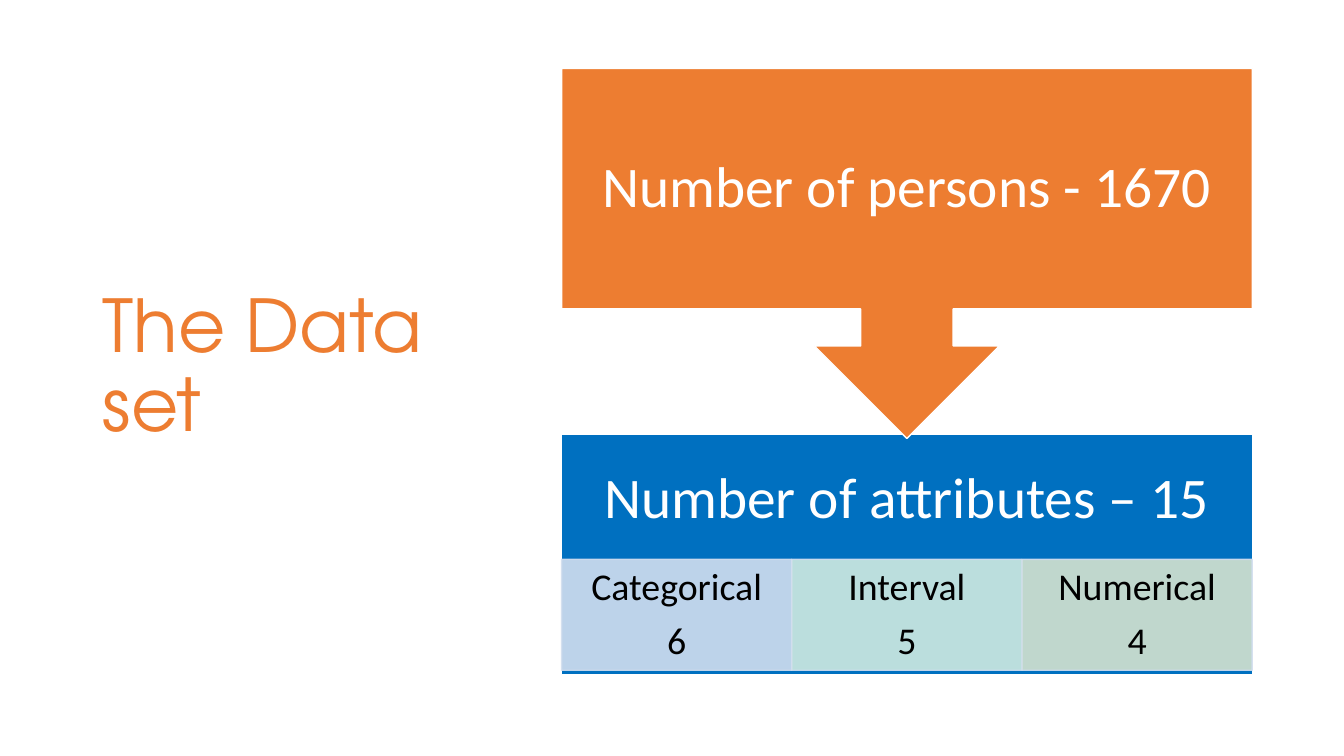
from pptx import Presentation
from pptx.dml.color import RGBColor
from pptx.enum.shapes import MSO_SHAPE as Shape
from pptx.enum.text import MSO_ANCHOR as Anchor, MSO_AUTO_SIZE as AutoSize, PP_ALIGN as Align
from pptx.oxml.ns import qn
from pptx.util import Inches, Pt
from lxml.etree import SubElement

# Content
TITLE = "The Data set"
PERSONS = "Number of persons - 1670"
ATTRIBUTES = "Number of attributes – 15"
KINDS = [("Categorical", "6", "D2DEEF"), ("Interval", "5", "D0EAE1"), ("Numerical", "4", "D5E3CF")]

THEME = {
    "orange": "ED7D31", "blue": "0070C0", "white": "FFFFFF", "black": "000000", "cell_edge": "D2DEEF",
    "title_font": "TeX Gyre Adventor", "body_font": "Calibri",
    "title_size": 52, "heading_size": 41, "kind_size": 27, "cell_alpha": 90,
}

# Layout in inches
LEFT, WIDTH = 5.57, 6.85
CALLOUT_TOP, CALLOUT_HEIGHT = 0.68, 3.67
PANEL_TOP, PANEL_HEIGHT, HEADING_HEIGHT = 4.31, 2.38, 1.29
CELL_TOP, CELL_HEIGHT = 5.55, 1.1
HEADING_INSET, CELL_INSETS = 0.32, (0.21, 0.04, 0.21, 0.04)


def paint(color_format, color, alpha=100):
    color_format.rgb = RGBColor.from_string(color)
    if alpha < 100:
        for srgb in color_format._xFill.iter(qn("a:srgbClr")):
            SubElement(srgb, qn("a:alpha")).set("val", str(alpha * 1000))


def add_paragraph_run(paragraph, words, font, size, color, align):
    paragraph.alignment = align
    paragraph.line_spacing = 0.9
    run = paragraph.add_run()
    run.text = words
    run.font.name = font
    run.font.size = Pt(size)
    run.font.color.rgb = RGBColor.from_string(color)


def add_block(kind, box, fill, edge, lines, size, color, insets, alpha=100):
    block = slide.shapes.add_shape(kind, *map(Inches, box))
    block.shadow.inherit = False
    block.fill.solid()
    block.line.fill.solid()
    block.line.width = Pt(1)
    for part, shade in ((block.fill, fill), (block.line.fill, edge)):
        paint(part.fore_color, shade, alpha)
    frame = block.text_frame
    frame.word_wrap = True
    frame.vertical_anchor = Anchor.MIDDLE
    frame.margin_left, frame.margin_top, frame.margin_right, frame.margin_bottom = map(Inches, insets)
    for index, words in enumerate(lines):
        paragraph = frame.add_paragraph() if index else frame.paragraphs[0]
        paragraph.space_after = Pt(0.35 * size)
        add_paragraph_run(paragraph, words, THEME["body_font"], size, color, Align.CENTER)


deck = Presentation()
deck.slide_width, deck.slide_height = Inches(13.33), Inches(7.5)
slide = deck.slides.add_slide(deck.slide_layouts[5])

# Title
title = slide.shapes.title
title.left, title.top, title.width, title.height = map(Inches, (0.92, 0.61, 3.69, 6.09))
title.text_frame.auto_size = AutoSize.NONE
title.text_frame.word_wrap = True
title.text_frame.vertical_anchor = Anchor.MIDDLE
add_paragraph_run(title.text_frame.paragraphs[0], TITLE, THEME["title_font"],
                  THEME["title_size"], THEME["orange"], Align.LEFT)

# Attributes panel, its heading kept above the cells
heading_insets = (HEADING_INSET,) * 4
panel_insets = (*heading_insets[:3], HEADING_INSET + PANEL_HEIGHT - HEADING_HEIGHT)
add_block(Shape.RECTANGLE, (LEFT, PANEL_TOP, WIDTH, PANEL_HEIGHT), THEME["blue"], THEME["white"],
          [ATTRIBUTES], THEME["heading_size"], THEME["white"], panel_insets)

# One cell per kind of attribute
cell_width = WIDTH / len(KINDS)
for column, (kind, count, tint) in enumerate(KINDS):
    add_block(Shape.RECTANGLE, (LEFT + column * cell_width, CELL_TOP, cell_width, CELL_HEIGHT),
              tint, THEME["cell_edge"], [kind, count], THEME["kind_size"], THEME["black"],
              CELL_INSETS, THEME["cell_alpha"])

# Persons callout, pointing at the panel
add_block(Shape.DOWN_ARROW_CALLOUT, (LEFT, CALLOUT_TOP, WIDTH, CALLOUT_HEIGHT), THEME["orange"],
          THEME["white"], [PERSONS], THEME["heading_size"], THEME["white"], heading_insets)

deck.save("out.pptx")
